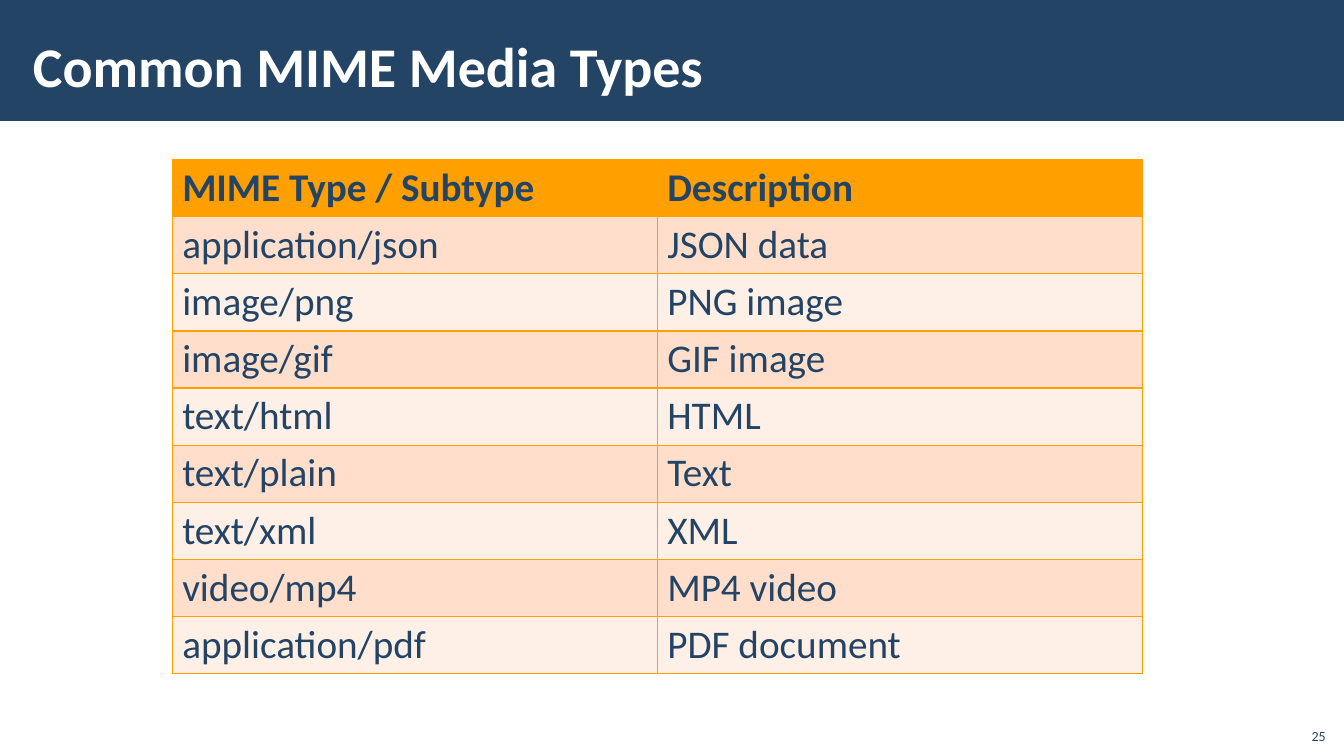
from lxml import etree
from pptx import Presentation, util as u
from pptx.dml import color
from pptx.enum import shapes, text
from pptx.oxml import ns

NAVY, WHITE, ORANGE = "234465", "FFFFFF", "FFA000"
BANDS = ("FFDFCC", "FFF0E7")
MEDIA_TYPES = [
    ("MIME Type / Subtype", "Description"),
    ("application/json", "JSON data"),
    ("image/png", "PNG image"),
    ("image/gif", "GIF image"),
    ("text/html", "HTML"),
    ("text/plain", "Text"),
    ("text/xml", "XML"),
    ("video/mp4", "MP4 video"),
    ("application/pdf", "PDF document"),
]


def rgb(value):
    return color.RGBColor.from_string(value)


class SlideBuilder:
    font_name = "Calibri"

    def __init__(self, presentation):
        self.slide = presentation.slides.add_slide(presentation.slide_layouts[5])

    def set_text(self, frame, content, size, ink, bold=False, align=text.PP_ALIGN.LEFT):
        frame.text = content
        paragraph = frame.paragraphs[0]
        paragraph.alignment = align
        font = paragraph.runs[0].font
        font.name, font.size, font.bold = self.font_name, u.Pt(size), bold
        font.color.rgb = rgb(ink)

    def band(self, left, top, width, height, fill):
        shape = self.slide.shapes.add_shape(
            shapes.MSO_SHAPE.RECTANGLE, *map(u.Pt, (left, top, width, height)))
        shape.shadow.inherit = False
        shape.fill.solid()
        shape.fill.fore_color.rgb = rgb(fill)
        shape.line.fill.background()
        self.slide.shapes.title._element.addprevious(shape._element)

    def title(self, content, left, top, width, height):
        shape = self.slide.shapes.title
        shape.left, shape.top, shape.width, shape.height = map(
            u.Pt, (left, top, width, height))
        frame = shape.text_frame
        frame.auto_size = text.MSO_AUTO_SIZE.NONE
        frame.vertical_anchor = text.MSO_ANCHOR.MIDDLE
        frame.margin_left = frame.margin_right = u.Pt(8.5)
        frame.margin_top = frame.margin_bottom = u.Pt(2.8)
        self.set_text(frame, content, 40, WHITE, bold=True)

    def label(self, content, left, top, width, height):
        shape = self.slide.shapes.add_textbox(*map(u.Pt, (left, top, width, height)))
        frame = shape.text_frame
        frame.word_wrap = True
        frame.vertical_anchor = text.MSO_ANCHOR.BOTTOM
        self.set_text(frame, content, 10, NAVY, align=text.PP_ALIGN.RIGHT)

    def borders(self, cell, ink, width):
        properties = cell._tc.get_or_add_tcPr()
        for index, side in enumerate(("a:lnL", "a:lnR", "a:lnT", "a:lnB")):
            line = etree.Element(ns.qn(side), w=str(u.Pt(width)))
            fill = etree.SubElement(line, ns.qn("a:solidFill"))
            etree.SubElement(fill, ns.qn("a:srgbClr"), val=ink)
            properties.insert(index, line)

    def table(self, rows, left, top, width, row_height):
        table = self.slide.shapes.add_table(
            len(rows), len(rows[0]),
            *map(u.Pt, (left, top, width, row_height * len(rows)))).table
        for row_index, row in enumerate(rows):
            header = row_index == 0
            for column_index, content in enumerate(row):
                cell = table.cell(row_index, column_index)
                cell.margin_top = cell.margin_bottom = u.Pt(3.2)
                cell.fill.solid()
                cell.fill.fore_color.rgb = rgb(
                    ORANGE if header else BANDS[(row_index - 1) % 2])
                self.set_text(cell.text_frame, content, 28, NAVY, bold=header)
                self.borders(cell, ORANGE, 1)


def main():
    presentation = Presentation()
    presentation.slide_width, presentation.slide_height = u.Pt(960), u.Pt(540)
    builder = SlideBuilder(presentation)
    builder.band(0, 0, 960, 86.4, NAVY)
    builder.title("Common MIME Media Types", 15, 3, 754, 87)
    builder.table(MEDIA_TYPES, 123, 114, 693, 40.8)
    builder.label("25", 925, 512.5, 29, 23)
    presentation.save("out.pptx")


if __name__ == "__main__":
    main()
